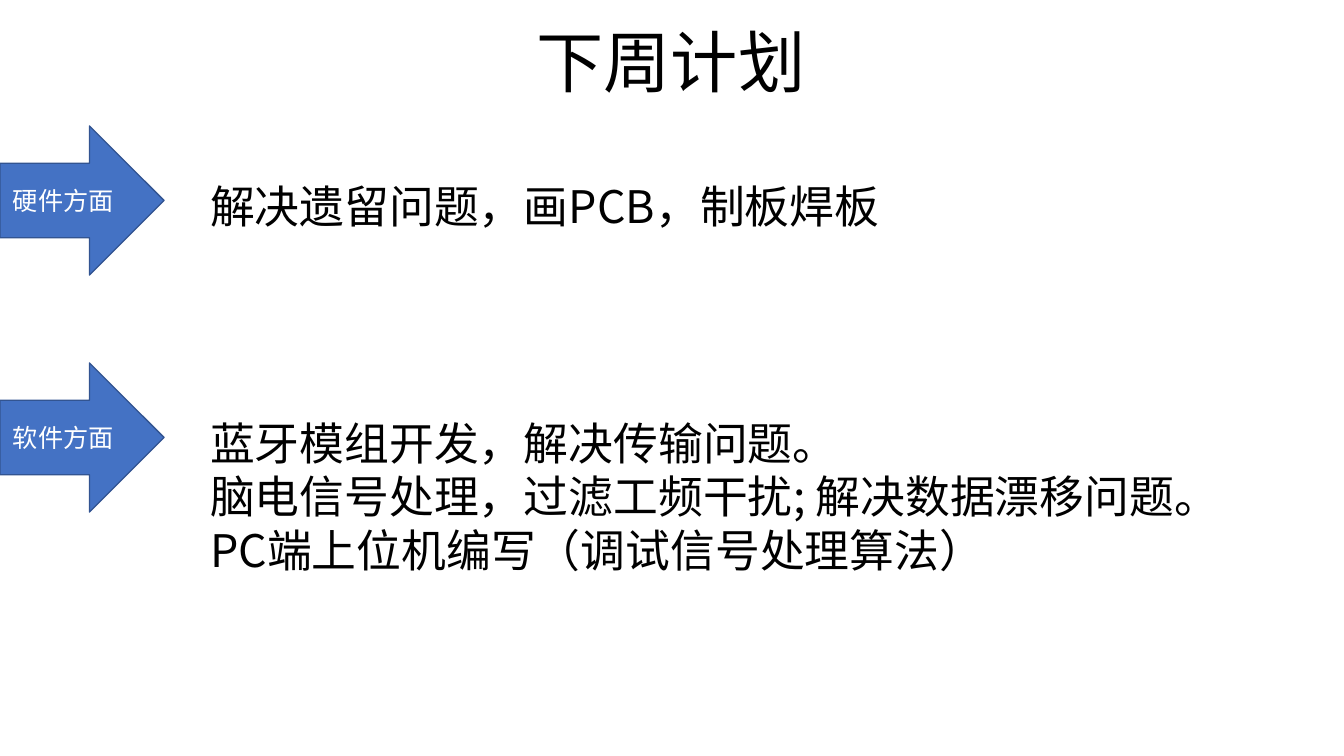
import pptx
import pptx.util
import pptx.dml.color
import pptx.enum.shapes
import pptx.enum.text
from lxml import etree

RGB = pptx.dml.color.RGBColor
BLACK = RGB(0x00, 0x00, 0x00)
WHITE = RGB(0xFF, 0xFF, 0xFF)
BLUE = RGB(0x44, 0x72, 0xC4)
NAVY = RGB(0x32, 0x54, 0x91)
FONT = "Noto Sans CJK SC"
ALIGN = pptx.enum.text.PP_ALIGN
ANCHOR = pptx.enum.text.MSO_ANCHOR
PX = 914400 / 100.8


def px(n):
    """Turn pixels into EMU."""
    return pptx.util.Emu(round(n * PX))


def write(shape, lines, size, color, align, anchor):
    """Fill a shape with one plain paragraph per line."""
    frame = shape.text_frame
    frame.word_wrap = True
    frame.auto_size = pptx.enum.text.MSO_AUTO_SIZE.NONE
    frame.vertical_anchor = anchor
    for i, line in enumerate(lines):
        para = frame.add_paragraph() if i else frame.paragraphs[0]
        para.alignment = align
        para.space_before = pptx.util.Pt(0)
        if anchor == ANCHOR.TOP:
            para.line_spacing = pptx.util.Pt(round(size * 1.19, 1))
            frame.margin_top = px(5 + size // 8)
        props = para._p.get_or_add_pPr()
        props.set("marL", "0")
        props.set("indent", "0")
        etree.SubElement(props, pptx.oxml.ns.qn("a:buNone"))
        run = para.add_run()
        run.text = line
        run.font.size = pptx.util.Pt(size)
        run.font.name = FONT
        run.font.color.rgb = color
        east = etree.SubElement(run._r.get_or_add_rPr(), pptx.oxml.ns.qn("a:ea"))
        east.set("typeface", FONT)


deck = pptx.Presentation()
deck.slide_width, deck.slide_height = px(1344), px(756)
slide = deck.slides.add_slide(deck.slide_layouts[3])
title, *bodies = slide.placeholders

title.left, title.top, title.width, title.height = map(px, (14, 10, 1314, 92))
write(title, ["下周计划"], 48, BLACK, ALIGN.CENTER, ANCHOR.TOP)
for extra in bodies[2:]:
    extra.element.getparent().remove(extra.element)

plans = [
    ("硬件方面", 1075, 65, ["解决遗留问题，画PCB，制板焊板"]),
    ("软件方面", 1129, 173, [
        "蓝牙模组开发，解决传输问题。",
        "脑电信号处理，过滤工频干扰; 解决数据漂移问题。",
        "PC端上位机编写（调试信号处理算法）",
    ]),
]
for row, (label, width, height, lines) in enumerate(plans):
    top = 126 + 237 * row
    arrow = slide.shapes.add_shape(
        pptx.enum.shapes.MSO_SHAPE.RIGHT_ARROW, px(0), px(top), px(164), px(149))
    arrow.shadow.inherit = False
    arrow.fill.solid()
    arrow.fill.fore_color.rgb = BLUE
    arrow.line.color.rgb = NAVY
    arrow.line.width = pptx.util.Pt(1)
    write(arrow, [label], 18, WHITE, ALIGN.CENTER, ANCHOR.MIDDLE)

    body = bodies[row]
    body.left, body.top = px(200), px(top + 44)
    body.width, body.height = px(width), px(height)
    write(body, lines, 32, BLACK, ALIGN.LEFT, ANCHOR.TOP)

deck.save("out.pptx")
